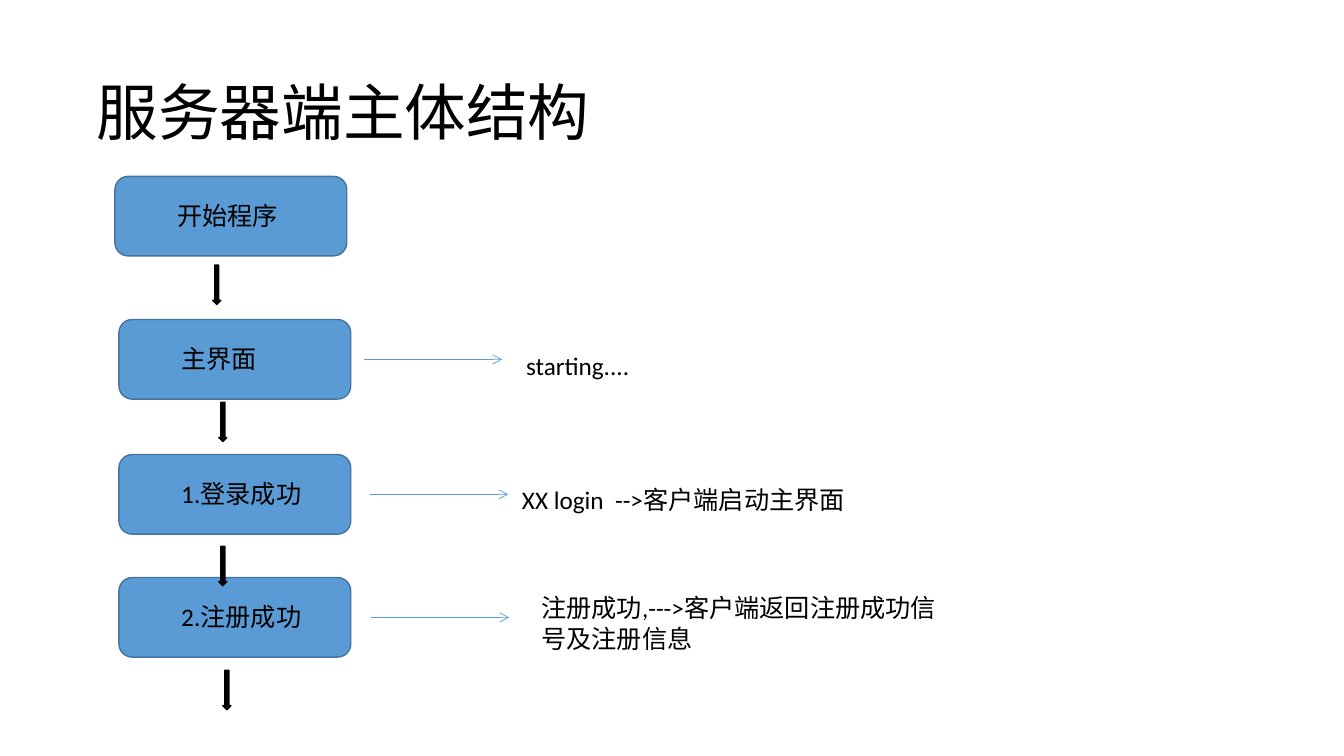
from dataclasses import dataclass

from lxml.etree import SubElement
from pptx import Presentation
from pptx.dml.color import RGBColor
from pptx.enum.shapes import MSO_CONNECTOR as Connector, MSO_SHAPE as Preset
from pptx.enum.text import MSO_ANCHOR as Anchor, MSO_AUTO_SIZE as AutoSize
from pptx.oxml.ns import qn
from pptx.util import Emu, Inches, Pt

FONT = "Calibri"
BLACK, BLUE, DARK_BLUE = "000000", "5B9BD5", "43739E"

# Lengths are percentages of the slide's width (x) and height (y).
STEP_WIDTH, STEP_HEIGHT = 17.25, 10.53
LABEL_INDENT, LABEL_DROP, LABEL_WIDTH = 3.9, 2.53, 14.4
LINE_HEIGHT = 5.33
LINK_LENGTH = 10.28
FLOW_WIDTH, FLOW_HEIGHT = 0.6, 5.2


@dataclass(frozen=True)
class Note:
    """Remark to the right of a step, with the start of its link."""
    text: str
    link_left: float
    left: float
    top: float
    width: float
    lines: int = 1


@dataclass(frozen=True)
class Step:
    """One stage of the server and the arrow that leaves it."""
    label: str
    left: float
    top: float
    flow_left: float
    flow_top: float
    note: Note | None = None


STEPS = [
    Step("开始程序", 8.55, 23.33, 15.83, 35.07),
    Step("主界面", 8.85, 42.27, 16.28, 53.2,
         Note("starting....", 27.08, 38.4, 45.73, 34.28)),
    Step("1.登录成功", 8.85, 60.13, 16.28, 72.27,
         Note("XX login  -->客户端启动主界面", 27.53, 38.1, 63.47, 37.95)),
    Step("2.注册成功", 8.85, 76.4, 16.58, 88.67,
         Note("注册成功,--->客户端返回注册成功信号及注册信息",
              27.6, 39.53, 77.73, 31.5, lines=2)),
]

deck = Presentation()
deck.slide_width, deck.slide_height = Inches(13.33), Inches(7.5)
slide = deck.slides.add_slide(deck.slide_layouts[6])


def across(percent: float) -> Emu:
    """Turn a percentage of the slide's width into a length."""
    return Emu(round(deck.slide_width * percent / 100))


def down(percent: float) -> Emu:
    """Turn a percentage of the slide's height into a length."""
    return Emu(round(deck.slide_height * percent / 100))


def color(hex_code: str) -> RGBColor:
    """Turn a hex string into a colour."""
    return RGBColor.from_string(hex_code)


def add_text(text: str, left: float, top: float, width: float, height: float,
             *, size: float = 18, anchor: Anchor = Anchor.TOP,
             spacing: float = 1.0, grow: bool = True) -> None:
    """Write wrapped text in a box."""
    box = slide.shapes.add_textbox(across(left), down(top), across(width), down(height))
    frame = box.text_frame
    frame.word_wrap = True
    frame.auto_size = AutoSize.SHAPE_TO_FIT_TEXT if grow else AutoSize.NONE
    frame.vertical_anchor = anchor
    paragraph = frame.paragraphs[0]
    paragraph.line_spacing = spacing
    run = paragraph.add_run()
    run.text = text
    run.font.name, run.font.size = FONT, Pt(size)
    run.font.color.rgb = color(BLACK)


def add_block(preset: Preset, left: float, top: float, width: float, height: float,
              fill: str, outline: str) -> None:
    """Draw a filled and outlined preset shape."""
    block = slide.shapes.add_shape(preset, across(left), down(top), across(width), down(height))
    block.shadow.inherit = False
    block.fill.solid()
    block.fill.fore_color.rgb = color(fill)
    block.line.color.rgb = color(outline)
    block.line.width = Pt(1)


def add_link(left: float, middle: float) -> None:
    """Draw a thin arrow from a step towards its note."""
    link = slide.shapes.add_connector(Connector.STRAIGHT, across(left), down(middle),
                                      across(left + LINK_LENGTH), down(middle))
    link.line.color.rgb = color(BLUE)
    link.line.width = Pt(0.5)
    SubElement(link.line._get_or_add_ln(), qn("a:tailEnd"), type="arrow")
    SubElement(link._element.spPr, qn("a:effectLst"))


def add_step(step: Step) -> None:
    """Draw a step with its label, note and outgoing arrow."""
    add_block(Preset.ROUNDED_RECTANGLE, step.left, step.top,
              STEP_WIDTH, STEP_HEIGHT, BLUE, DARK_BLUE)
    add_text(step.label, step.left + LABEL_INDENT, step.top + LABEL_DROP,
             LABEL_WIDTH, LINE_HEIGHT)
    if step.note:
        note = step.note
        add_link(note.link_left, step.top + STEP_HEIGHT / 2)
        add_text(note.text, note.left, note.top, note.width, LINE_HEIGHT + 4 * (note.lines - 1))


def add_flow(step: Step) -> None:
    """Draw the arrow leading down from a step."""
    add_block(Preset.DOWN_ARROW, step.flow_left, step.flow_top,
              FLOW_WIDTH, FLOW_HEIGHT, BLACK, BLACK)


add_text("服务器端主体结构", 6.45, 5.6, 86.25, 19.33,
         size=44, anchor=Anchor.MIDDLE, spacing=0.9, grow=False)
for stage in STEPS:
    add_step(stage)
for stage in STEPS:
    add_flow(stage)

deck.save("out.pptx")
